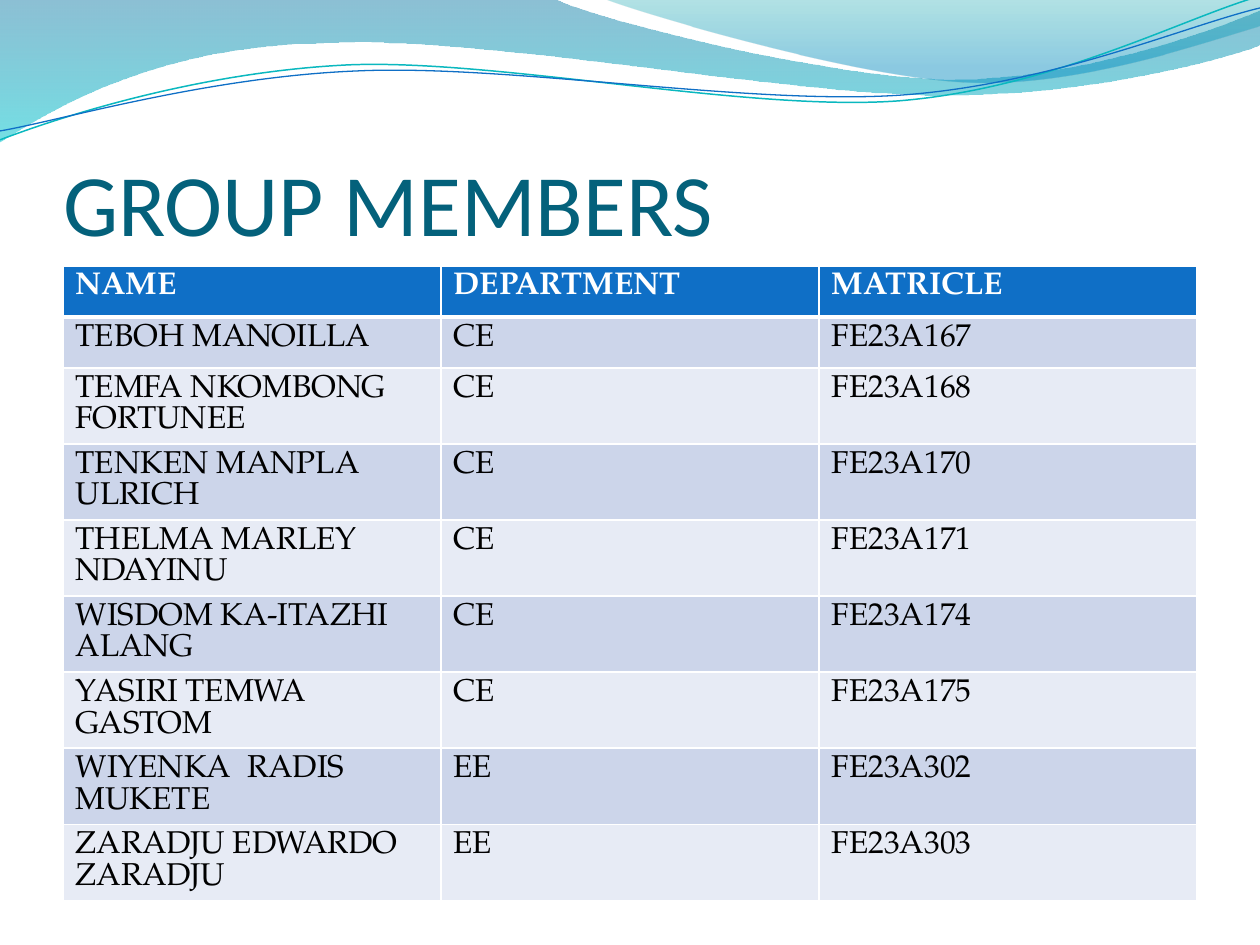
import math
from dataclasses import dataclass

import lxml.etree
import pptx
import pptx.dml.color
import pptx.enum.text
import pptx.oxml.ns
import pptx.util

PX = 914400 / 126  # EMU per pixel
CURVE_TILT = -2.7  # degrees


@dataclass(frozen=True)
class Theme:
    title_font: str = "Calibri"
    table_font: str = "TeX Gyre Pagella"
    title_size: int = 50
    table_size: int = 18
    title: str = "04617B"
    text: str = "000000"
    white: str = "FFFFFF"
    header: str = "0F6FC6"
    bands: tuple = ("CCD5EA", "E7EBF5")
    teal_line: str = "0AB8BF"
    blue_line: str = "0F6FC6"
    # Gradient stops: position, colour, opacity in percent
    wide_wave: tuple = ((0, "0074A1", 45), (1, "00C6CF", 55))
    right_wave: tuple = ((0, "00A1A9", 30), (0.8, "008BBF", 45))


THEME = Theme()

# Each outline is a start point, then points (1 pair) or Bezier curves (3 pairs).
WIDE_WAVE = [[(0, 0)], [(554, -1)], [(600, 21), (837, 79), (955, 79)],
             [(1075, 79), (1207, 33), (1260, 11)], [(1261, 45)],
             [(1237, 55), (1096, 96), (940, 95)],
             [(783, 95), (481, 35), (324, 43)],
             [(163, 45), (58, 105), (-1, 142)]]
RIGHT_WAVE = [[(604, -1)], [(641, 14), (859, 78), (969, 82)],
              [(1079, 87), (1211, 40), (1260, 26)], [(1260, 0)]]
TEAL_CURVE = [[(0, 140)], [(60, 117), (199, 72), (349, 65)],
              [(498, 59), (747, 112), (898, 101)],
              [(1050, 89), (1182, 19), (1257, -3)]]
BLUE_CURVE = [[(0, 131)], [(59, 121), (207, 77), (357, 71)],
              [(508, 64), (752, 106), (903, 95)],
              [(1053, 84), (1185, 26), (1260, 8)]]

HEADINGS = ("NAME", "DEPARTMENT", "MATRICLE")
MEMBERS = [
    ("TEBOH MANOILLA", "CE", "FE23A167"),
    ("TEMFA NKOMBONG FORTUNEE", "CE", "FE23A168"),
    ("TENKEN MANPLA ULRICH", "CE", "FE23A170"),
    ("THELMA MARLEY NDAYINU", "CE", "FE23A171"),
    ("WISDOM KA-ITAZHI ALANG", "CE", "FE23A174"),
    ("YASIRI TEMWA GASTOM", "CE", "FE23A175"),
    ("WIYENKA  RADIS MUKETE", "EE", "FE23A302"),
    ("ZARADJU EDWARDO ZARADJU", "EE", "FE23A303"),
]


def px(length):
    return pptx.util.Emu(round(length * PX))


def rgb(colour):
    return pptx.dml.color.RGBColor.from_string(colour)


def turn(point, centre, degrees):
    angle = math.radians(degrees)
    dx, dy = point[0] - centre[0], point[1] - centre[1]
    return (centre[0] + dx * math.cos(angle) - dy * math.sin(angle),
            centre[1] + dx * math.sin(angle) + dy * math.cos(angle))


def add_outline(slide, box, segments, close, tilt=0):
    """Draw segments that already show the tilt, as a shape rotated by it."""
    left, top, width, height = box
    centre = (width / 2, height / 2)
    placed = []
    for segment in segments:
        level = [turn(point, centre, -tilt) for point in segment]
        placed.append([(px(left + x), px(top + y)) for x, y in level])
    ends = [segment[-1] for segment in placed]
    builder = slide.shapes.build_freeform(*ends[0], scale=1.0)
    builder.add_line_segments(ends[1:], close=close)
    outline = builder.convert_to_shape()
    outline.shadow.inherit = False
    steps = list(outline.element.iter(pptx.oxml.ns.qn("a:lnTo")))
    for step, segment in zip(steps, placed[1:]):
        if len(segment) == 3:
            bend(step, segment, outline.left, outline.top)
    outline.rotation = tilt
    return outline


def bend(step, controls, left, top):
    """Replace a straight path step by a Bezier curve."""
    curve = lxml.etree.Element(pptx.oxml.ns.qn("a:cubicBezTo"))
    for x, y in controls:
        lxml.etree.SubElement(curve, pptx.oxml.ns.qn("a:pt"),
                              x=str(x - left), y=str(y - top))
    step.getparent().replace(step, curve)


def add_wave(slide, box, segments, stops):
    wave = add_outline(slide, box, segments, close=True)
    wave.line.fill.background()
    wave.fill.gradient()
    wave.fill.gradient_angle = 270
    for stop, (position, colour, _) in zip(wave.fill.gradient_stops, stops):
        stop.position = position
        stop.color.rgb = rgb(colour)
    colours = wave.element.spPr.iter(pptx.oxml.ns.qn("a:srgbClr"))
    for colour, (_, _, opacity) in zip(colours, stops):
        lxml.etree.SubElement(colour, pptx.oxml.ns.qn("a:alpha"),
                              val=str(opacity * 1000))


def add_curve(slide, box, segments, colour, width):
    curve = add_outline(slide, box, segments, close=False, tilt=CURVE_TILT)
    curve.fill.background()
    curve.line.color.rgb = rgb(colour)
    curve.line.width = pptx.util.Pt(width)


def add_wave_band(slide, box):
    add_wave(slide, box, WIDE_WAVE, THEME.wide_wave)
    add_wave(slide, box, RIGHT_WAVE, THEME.right_wave)
    add_curve(slide, box, TEAL_CURVE, THEME.teal_line, 0.85)
    add_curve(slide, box, BLUE_CURVE, THEME.blue_line, 0.75)


def add_title(slide, box, wording):
    title = slide.shapes.title
    title.element.getparent().append(title.element)  # in front of the waves
    title.left, title.top, title.width, title.height = map(px, box)
    frame = title.text_frame
    frame.text = wording
    frame.word_wrap = True
    frame.auto_size = pptx.enum.text.MSO_AUTO_SIZE.NONE
    frame.vertical_anchor = pptx.enum.text.MSO_ANCHOR.BOTTOM
    frame.margin_left = frame.margin_right = frame.margin_bottom = 0
    paragraph = frame.paragraphs[0]
    paragraph.alignment = pptx.enum.text.PP_ALIGN.LEFT
    paragraph.font.name = THEME.title_font
    paragraph.font.size = pptx.util.Pt(THEME.title_size)
    paragraph.font.color.rgb = rgb(THEME.title)


def set_borders(cell, top, bottom):
    """Draw white borders; top and bottom are widths in points."""
    properties = cell._tc.get_or_add_tcPr()
    widths = {"a:lnL": 1, "a:lnR": 1, "a:lnT": top, "a:lnB": bottom}
    for index, (tag, width) in enumerate(widths.items()):
        border = lxml.etree.Element(pptx.oxml.ns.qn(tag),
                                    w=str(pptx.util.Pt(width)))
        fill = lxml.etree.SubElement(border, pptx.oxml.ns.qn("a:solidFill"))
        lxml.etree.SubElement(fill, pptx.oxml.ns.qn("a:srgbClr"),
                              val=THEME.white)
        properties.insert(index, border)


def add_member_table(slide, box, row_height):
    rows = [HEADINGS, *MEMBERS]
    frame = slide.shapes.add_table(len(rows), len(HEADINGS), *map(px, box))
    members = frame.table
    members.horz_banding = False
    for column in members.columns:
        column.width = px(box[2] / len(HEADINGS))
    for number, entries in enumerate(rows):
        members.rows[number].height = px(row_height)
        is_header = number == 0
        band = THEME.header if is_header else THEME.bands[(number - 1) % 2]
        for column, entry in enumerate(entries):
            cell = members.cell(number, column)
            cell.text = entry
            cell.fill.solid()
            cell.fill.fore_color.rgb = rgb(band)
            set_borders(cell, top=3 if number == 1 else 1,
                        bottom=3 if is_header else 1)
            font = cell.text_frame.paragraphs[0].font
            font.name = THEME.table_font
            font.size = pptx.util.Pt(THEME.table_size)
            font.bold = is_header
            font.color.rgb = rgb(THEME.white if is_header else THEME.text)
    frame.height = px(box[3])  # long names make the rows grow


def main():
    deck = pptx.Presentation()
    deck.slide_width, deck.slide_height = px(1260), px(945)
    slide = deck.slides.add_slide(deck.slide_layouts.get_by_name("Title Only"))
    add_wave_band(slide, (0, 0, 1260, 142))
    add_title(slide, (63, 97, 1134, 157), "GROUP MEMBERS")
    add_member_table(slide, (63, 266, 1134, 605), row_height=51)
    deck.save("out.pptx")


if __name__ == "__main__":
    main()
